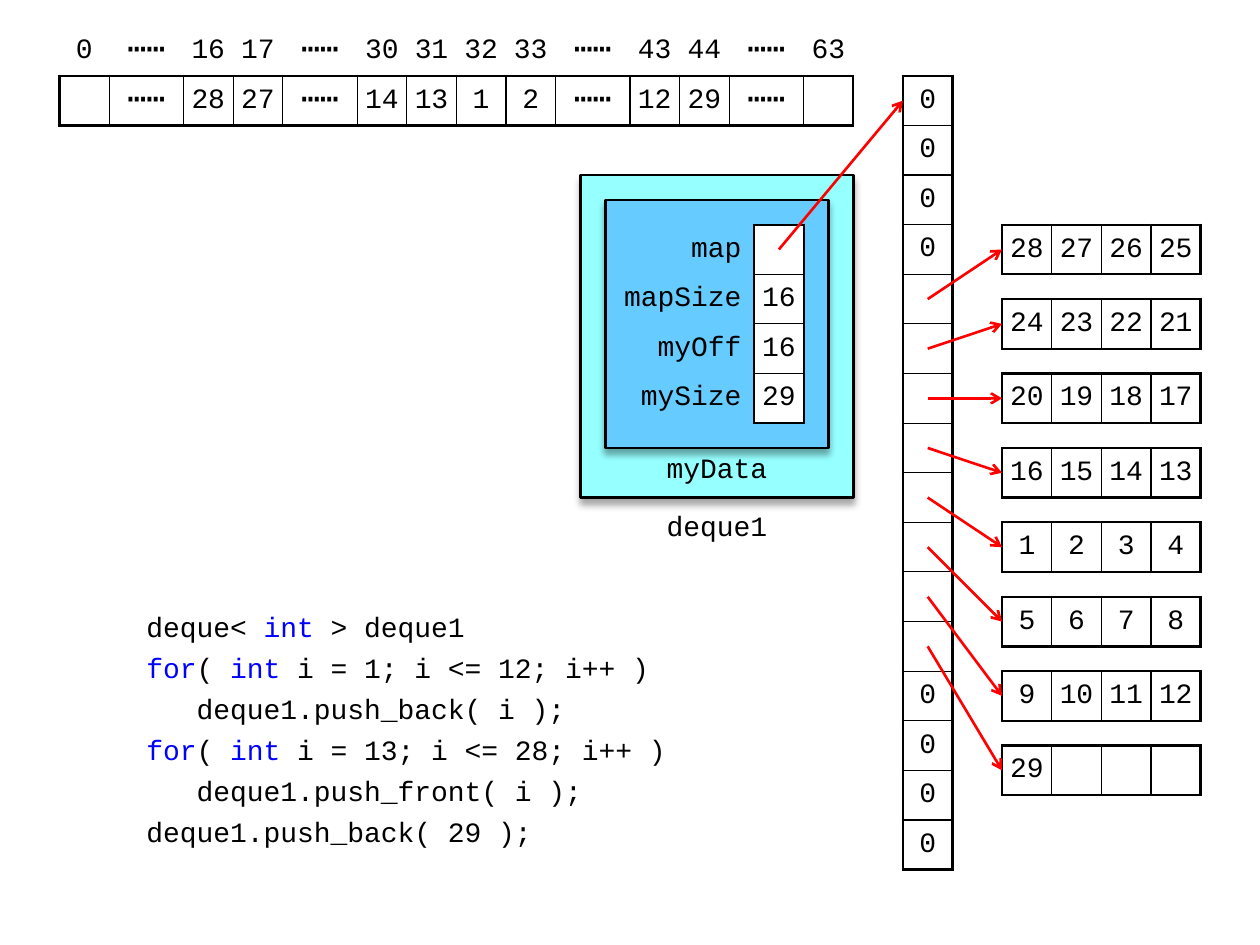
from lxml import etree
from pptx import Presentation
from pptx.dml.color import RGBColor
from pptx.enum.shapes import MSO_CONNECTOR, MSO_SHAPE
from pptx.enum.text import MSO_ANCHOR, PP_ALIGN
from pptx.oxml.ns import qn
from pptx.util import Pt

BLACK = RGBColor(0x00, 0x00, 0x00)
WHITE = RGBColor(0xFF, 0xFF, 0xFF)
RED = RGBColor(0xFF, 0x00, 0x00)
BLUE = RGBColor(0x00, 0x00, 0xFF)
AQUA = RGBColor(0x96, 0xFF, 0xFF)
SKY = RGBColor(0x66, 0xCC, 0xFF)
STRAIGHT = MSO_CONNECTOR.STRAIGHT
PROCESS = MSO_SHAPE.FLOWCHART_PROCESS
TOP, MIDDLE = MSO_ANCHOR.TOP, MSO_ANCHOR.MIDDLE
CENTER, RIGHT = PP_ALIGN.CENTER, PP_ALIGN.RIGHT

FONT = "Courier New"
DOTS = "⋯⋯"
THICK, THIN = Pt(1.5), Pt(0.75)
CELL_INSET, LABEL_INSET = Pt(2.88), Pt(7.2)
FIRST_BLOCK_SLOT = 4

INDEXES = ["0", DOTS, "16", "17", DOTS, "30", "31", "32", "33", DOTS, "43", "44", DOTS, "63"]
VALUES = ["", DOTS, "28", "27", DOTS, "14", "13", "1", "2", DOTS, "12", "29", DOTS, ""]
MAP_SLOTS = ["0"] * 4 + [""] * 8 + ["0"] * 4
BLOCKS = [
    ["28", "27", "26", "25"],
    ["24", "23", "22", "21"],
    ["20", "19", "18", "17"],
    ["16", "15", "14", "13"],
    ["1", "2", "3", "4"],
    ["5", "6", "7", "8"],
    ["9", "10", "11", "12"],
    ["29", "", "", ""],
]
MEMBERS = [["map", ""], ["mapSize", "16"], ["myOff", "16"], ["mySize", "29"]]
KEYWORDS = {"for", "int"}
CODE = [
    ["deque< ", "int", " > deque1"],
    ["for", "( ", "int", " i = 1; i <= 12; i++ )"],
    ["   deque1.push_back( i );"],
    ["for", "( ", "int", " i = 13; i <= 28; i++ )"],
    ["   deque1.push_front( i );"],
    ["deque1.push_back( 29 );"],
]


def units(count):
    """Return the length of a number of cell sides."""
    return Pt(28.35 * count)


def style_run(run, color=BLACK, size=16):
    """Give a run the slide's font."""
    run.font.name = FONT
    run.font.size = Pt(size)
    run.font.bold = False
    run.font.color.rgb = color


def set_border(cell, side, width):
    """Draw one side of a cell, or clear it when the width is zero."""
    line = etree.SubElement(cell._tc.get_or_add_tcPr(), qn(f"a:ln{side}"), w=str(width))
    if width:
        fill = etree.SubElement(line, qn("a:solidFill"))
        etree.SubElement(fill, qn("a:srgbClr"), val=str(BLACK))
    else:
        etree.SubElement(line, qn("a:noFill"))


def add_cells(slide, left, top, widths, rows, first_row=0, first_col=0):
    """Add a table whose cells from first_row and first_col on are boxed."""
    row_count, col_count = len(rows), len(widths)
    table = slide.shapes.add_table(
        row_count, col_count, left, top, units(sum(widths)), units(row_count)
    ).table
    table.first_row = table.horz_banding = False

    def boxed(row, col):
        return first_row <= row < row_count and first_col <= col < col_count

    for column, width in zip(table.columns, widths):
        column.width = units(width)
    for r, texts in enumerate(rows):
        table.rows[r].height = units(1)
        for c, text in enumerate(texts):
            cell = table.cell(r, c)
            neighbours = {"L": (r, c - 1), "R": (r, c + 1), "T": (r - 1, c), "B": (r + 1, c)}
            for side, neighbour in neighbours.items():
                set_border(cell, side, (0, THICK, THIN)[boxed(r, c) + boxed(*neighbour)])
            if boxed(r, c):
                cell.fill.solid()
                cell.fill.fore_color.rgb = WHITE
            else:
                cell.fill.background()
            cell.vertical_anchor = MIDDLE
            cell.margin_left = cell.margin_right = CELL_INSET
            cell.margin_top = cell.margin_bottom = CELL_INSET
            paragraph = cell.text_frame.paragraphs[0]
            paragraph.text = text
            paragraph.alignment = CENTER
            for run in paragraph.runs:
                style_run(run, size=18 if text == DOTS else 16)
    return table


def add_pointer(slide, start, end):
    """Add a red arrow between two points."""
    pointer = slide.shapes.add_connector(STRAIGHT, *start, *end)
    pointer.line.color.rgb = RED
    pointer.line.width = THICK
    properties = pointer._element.spPr
    etree.SubElement(properties.find(qn("a:ln")), qn("a:tailEnd"), type="arrow")
    etree.SubElement(properties, qn("a:effectLst"))


def add_panel(slide, left, top, width, height, color):
    """Add a filled panel with a soft shadow below it."""
    panel = slide.shapes.add_shape(PROCESS, left, top, width, height)
    panel.fill.solid()
    panel.fill.fore_color.rgb = color
    panel.line.color.rgb = BLACK
    panel.line.width = THICK
    panel.shadow.inherit = False
    effects = panel._element.spPr.find(qn("a:effectLst"))
    shadow = etree.SubElement(
        effects, qn("a:outerShdw"), blurRad=str(Pt(4)), dist=str(Pt(3)),
        dir="5400000", rotWithShape="0",
    )
    shade = etree.SubElement(shadow, qn("a:srgbClr"), val=str(BLACK))
    etree.SubElement(shade, qn("a:alpha"), val="35000")


def add_caption(slide, left, top, width, text, anchor, top_inset):
    """Add a centred caption one cell high."""
    frame = slide.shapes.add_textbox(left, top, width, units(1)).text_frame
    frame.word_wrap = True
    frame.vertical_anchor = anchor
    frame.margin_left = frame.margin_right = Pt(5.76)
    frame.margin_top, frame.margin_bottom = top_inset, 0
    frame.text = text
    frame.paragraphs[0].alignment = CENTER
    style_run(frame.paragraphs[0].runs[0])


def add_index_strip(slide, left, top):
    """Add the logical sequence with its indexes above it."""
    widths = [1.5 if text == DOTS else 1 for text in INDEXES]
    add_cells(slide, left, top, widths, [INDEXES, VALUES], first_row=1)


def add_map_and_blocks(slide, left, top):
    """Add the map column and the blocks its middle slots point to."""
    add_cells(slide, left, top, [1], [[slot] for slot in MAP_SLOTS])
    block_left = left + units(2)
    for i, block in enumerate(BLOCKS):
        block_top = top + units(3 + 1.5 * i)
        add_cells(slide, block_left, block_top, [1] * len(block), [block])
        slot_center = (left + units(0.5), top + units(FIRST_BLOCK_SLOT + i + 0.5))
        add_pointer(slide, slot_center, (block_left, block_top + units(0.5)))


def add_deque_object(slide, left, top, map_target):
    """Add the deque object with its members and the pointer to the map."""
    add_panel(slide, left, top, units(5.5), units(6.5), AQUA)
    add_panel(slide, left + units(0.5), top + units(0.5), units(4.5), units(5), SKY)
    add_caption(slide, left + units(1), top + units(6.5), units(3.5), "deque1", MIDDLE, CELL_INSET)
    add_caption(slide, left + units(1.5), top + units(5.5), units(2.5), "myData", TOP, Pt(1.44))
    members = add_cells(slide, left + units(0.5), top + units(1), [3, 1], MEMBERS, first_col=1)
    for r in range(len(MEMBERS)):
        label = members.cell(r, 0)
        label.margin_left = label.margin_right = LABEL_INSET
        label.text_frame.paragraphs[0].alignment = RIGHT
    add_pointer(slide, (left + units(4), top + units(1.5)), map_target)


def add_code(slide, left, top, width, height):
    """Add the code listing with coloured keywords."""
    frame = slide.shapes.add_textbox(left, top, width, height).text_frame
    frame.word_wrap = True
    frame.margin_left = frame.margin_top = Pt(7.2)
    frame.margin_right = 0
    for i, tokens in enumerate(CODE):
        paragraph = frame.add_paragraph() if i else frame.paragraphs[0]
        paragraph.space_before = Pt(4.2 if i else 0)
        for token in tokens:
            run = paragraph.add_run()
            run.text = token
            style_run(run, BLUE if token in KEYWORDS else BLACK)


def main():
    """Build the slide and save it."""
    deck = Presentation()
    deck.slide_width, deck.slide_height = Pt(720), Pt(540)
    slide = deck.slides.add_slide(deck.slide_layouts[6])
    left, top = Pt(34), Pt(15)
    map_left, map_top = left + units(17), top + units(1)
    add_code(slide, left + units(1.5), top + units(11.5), units(11), units(6))
    add_index_strip(slide, left, top)
    add_map_and_blocks(slide, map_left, map_top)
    add_deque_object(
        slide, left + units(10.5), top + units(3), (map_left, map_top + units(0.5))
    )
    deck.save("out.pptx")


if __name__ == "__main__":
    main()
